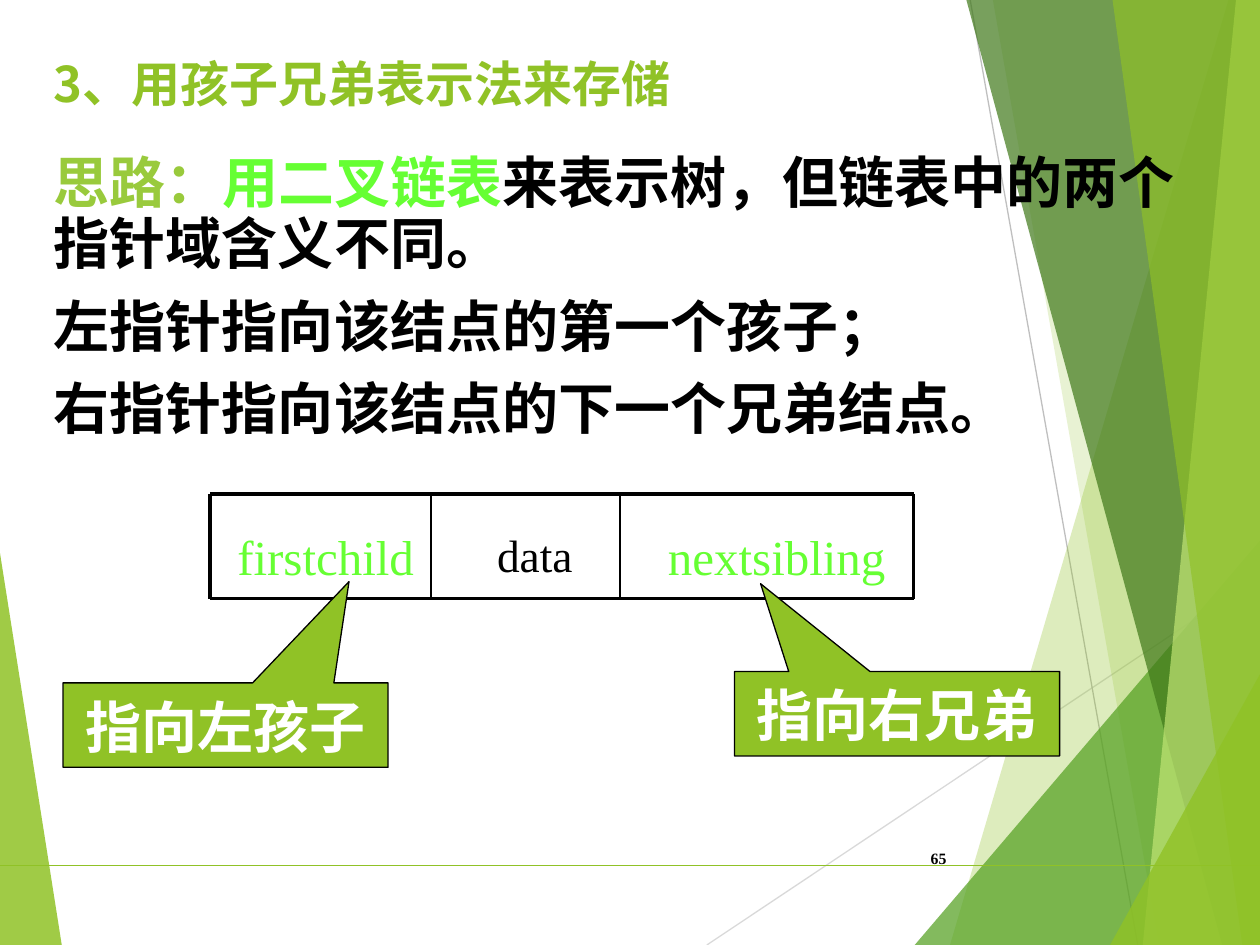
from pptx import Presentation
from pptx import util as u
from pptx.dml.color import RGBColor
from pptx.enum import shapes, text
from pptx.oxml.ns import qn
from lxml import etree

HUES = {
    "lime": "90C226", "green": "54A021", "dark": "3F7819", "pale": "C0E474",
    "soft": "99CA3C", "neon": "66FF33", "black": "000000", "white": "FFFFFF",
    "mist": "D9D9D9", "gray": "BFBFBF",
}
HAN, ROMAN = "Noto Sans CJK SC", "Times New Roman"
LEFT, MID, RIGHT = text.PP_ALIGN.LEFT, text.PP_ALIGN.CENTER, text.PP_ALIGN.RIGHT


def rgb(name):
    return RGBColor.from_string(HUES[name])


def line(slide, start, end, hue, width):
    ends = [u.Inches(v) for v in (*start, *end)]
    rule = slide.shapes.add_connector(shapes.MSO_CONNECTOR.STRAIGHT, *ends)
    rule.line.color.rgb = rgb(hue)
    rule.line.width = u.Pt(width)
    etree.SubElement(rule._element.spPr, qn("a:effectLst"))


def facet(slide, points, hue, alpha):
    spots = [(u.Inches(x), u.Inches(y)) for x, y in points]
    pen = slide.shapes.build_freeform(*spots[0])
    pen.add_line_segments(spots[1:], close=True)
    shape = pen.convert_to_shape()
    shape.shadow.inherit = False
    shape.fill.solid()
    shape.fill.fore_color.rgb = rgb(hue)
    shape.line.fill.background()
    color = shape._element.spPr.find(qn("a:solidFill"))[0]
    etree.SubElement(color, qn("a:alpha"), val=str(alpha * 1000))


def write(para, parts, size, font, bold=False, align=LEFT, pitch=None):
    para.alignment = align
    if pitch:
        para.line_spacing = pitch
    for words, hue in parts:
        run = para.add_run()
        run.text = words
        run.font.size = u.Pt(size)
        run.font.bold = bold
        run.font.name = font
        run.font.color.rgb = rgb(hue)
        etree.SubElement(run._r.get_or_add_rPr(), qn("a:ea"), typeface=font)


def area(slide, box):
    frame = slide.shapes.add_textbox(*map(u.Inches, box)).text_frame
    frame.word_wrap = True
    return frame


def decor(slide, box):
    left, top, wide, high = box
    right, base = left + wide, top + high

    def wedge(x1, x2, hue, alpha):
        points = [(x1, top), (x2, base), (right, base), (right, top)]
        facet(slide, points, hue, alpha)

    def corner(x, y, hue, alpha):
        facet(slide, [(x, base), (right, y), (right, base)], hue, alpha)

    facet(slide, [(left, top + 4.39), (left + 0.49, base), (left, base)], "lime", 85)
    line(slide, (left + 5.61, base), (right, top + 4.57), "mist", 0.75)
    line(slide, (left + 7.7, top), (left + 9.03, base), "gray", 0.75)
    wedge(left + 9.75, left + 7.54, "lime", 30)
    wedge(left + 7.88, left + 9.2, "lime", 20)
    corner(left + 7.26, top + 4.29, "green", 72)
    wedge(left + 7.67, left + 9.7, "dark", 70)
    wedge(left + 9.81, left + 9.07, "pale", 70)
    wedge(left + 8.83, left + 9.86, "lime", 65)
    corner(left + 8.81, top + 5.35, "lime", 80)
    line(slide, (left, top + 6.87), (right, top + 6.87), "lime", 0.75)


def title(slide, box):
    frame = area(slide, box)
    write(frame.paragraphs[0], [("3、用孩子兄弟表示法来存储", "lime")],
          28, HAN, True, pitch=u.Pt(37))


def body(slide, box):
    frame = area(slide, box)
    lead = [("思路：", "soft"), ("用二叉链表", "neon"),
            ("来表示树，但链表中的两个指针域含义不同。", "black")]
    write(frame.paragraphs[0], lead, 32, HAN, True, pitch=u.Pt(35))
    for words in ("左指针指向该结点的第一个孩子；", "右指针指向该结点的下一个兄弟结点。"):
        para = frame.add_paragraph()
        para.space_before = u.Pt(8)
        write(para, [(words, "black")], 32, HAN, True, pitch=u.Pt(39))


def node(slide, box):
    left, top, wide, high = box
    right, base = left + wide, top + high
    fields = [
        ("firstchild", 0.08, 1.67, 28, "neon"),
        ("data", 1.91, 1.33, 25.9, "black"),
        ("nextsibling", 3.41, 2.17, 28, "neon"),
    ]
    for words, x, span, size, hue in fields:
        frame = area(slide, (left + x, top + 0.16, span, 0.58))
        frame.margin_top = u.Inches(0.1)
        write(frame.paragraphs[0], [(words, hue)], size, ROMAN, align=MID)
    for y in (top, base):
        line(slide, (left, y), (right, y), "black", 2.25)
    for x, width in ((0, 2.25), (1.75, 1), (3.25, 1), (wide, 2.25)):
        line(slide, (left + x, top), (left + x, base), "black", width)


def callout(slide, box, words, tip):
    shape = slide.shapes.add_shape(
        shapes.MSO_SHAPE.RECTANGULAR_CALLOUT, *map(u.Inches, box))
    shape.shadow.inherit = False
    shape.adjustments[0], shape.adjustments[1] = tip
    shape.fill.solid()
    shape.fill.fore_color.rgb = rgb("lime")
    shape.line.color.rgb = rgb("black")
    shape.line.width = u.Pt(0.75)
    frame = shape.text_frame
    frame.vertical_anchor = text.MSO_ANCHOR.MIDDLE
    write(frame.paragraphs[0], [(words, "white")], 32, HAN, True, MID, u.Pt(39))


def number(slide, box):
    frame = area(slide, box)
    frame.vertical_anchor = text.MSO_ANCHOR.MIDDLE
    write(frame.paragraphs[0], [("65", "black")], 9, ROMAN, True, RIGHT)


def main():
    deck = Presentation()
    deck.slide_width, deck.slide_height = u.Inches(10), u.Inches(7.5)
    slide = deck.slides.add_slide(deck.slide_layouts[6])
    decor(slide, (0, 0, 10, 7.5))
    number(slide, (7.05, 6.61, 0.56, 0.4))
    body(slide, (0.33, 1.17, 9.17, 2.35))
    node(slide, (1.67, 3.92, 5.58, 0.83))
    title(slide, (0.33, 0.33, 5.33, 0.67))
    callout(slide, (0.5, 5.42, 2.58, 0.67), "指向左孩子", (0.38, -1.7))
    callout(slide, (5.83, 5.33, 2.58, 0.67), "指向右兄弟", (-0.42, -1.54))
    deck.save("out.pptx")


if __name__ == "__main__":
    main()
